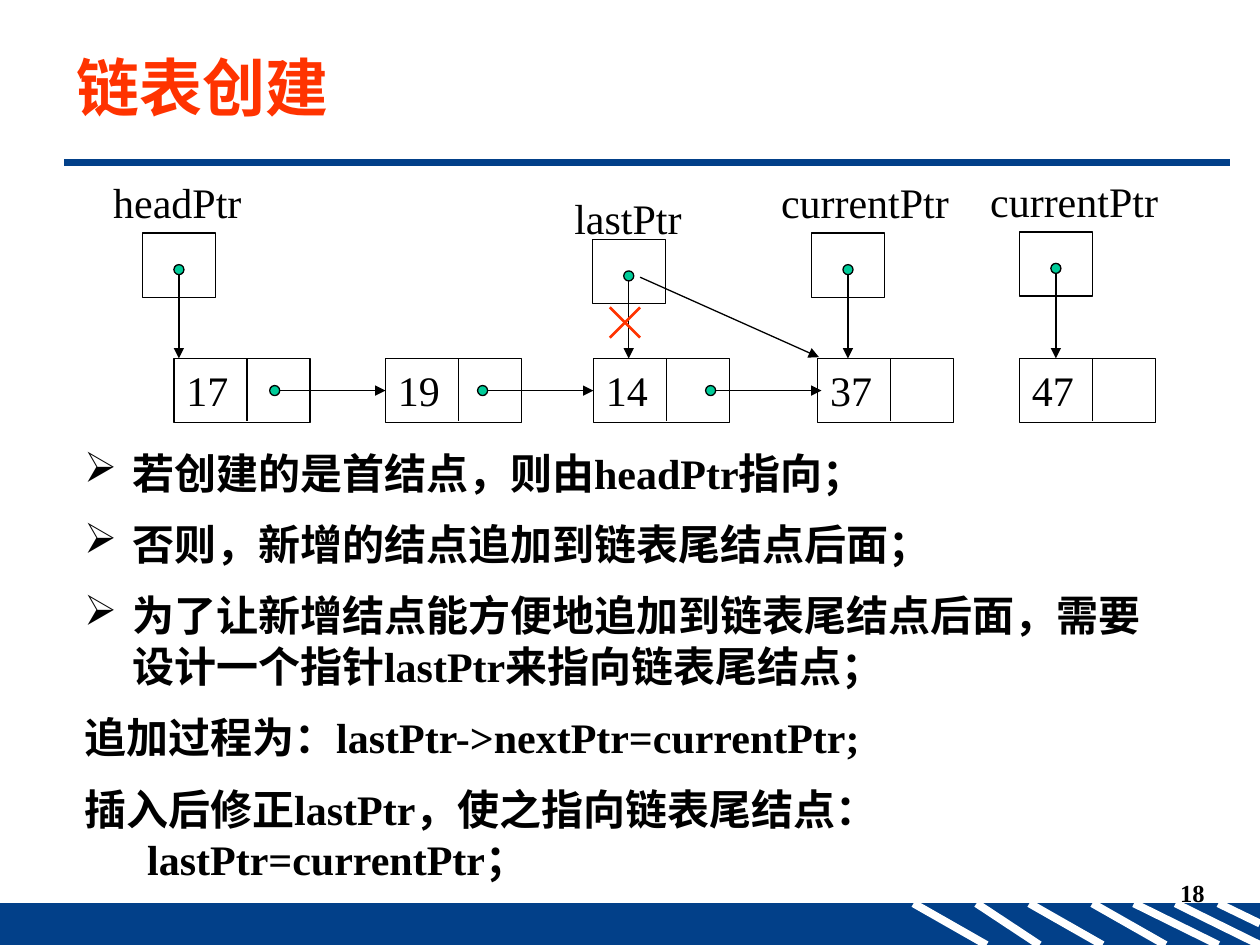
from lxml import etree
from pptx import Presentation
from pptx.dml.color import RGBColor
from pptx.enum.shapes import MSO_CONNECTOR, MSO_SHAPE
from pptx.enum.text import MSO_ANCHOR, PP_ALIGN
from pptx.oxml.ns import qn
from pptx.util import Inches, Pt

RECTANGLE, OVAL = MSO_SHAPE.RECTANGLE, MSO_SHAPE.OVAL
STRAIGHT = MSO_CONNECTOR.STRAIGHT
BLACK = RGBColor(0x00, 0x00, 0x00)
WHITE = RGBColor(0xFF, 0xFF, 0xFF)
BLUE = RGBColor(0x02, 0x40, 0x89)
GREEN = RGBColor(0x00, 0xCC, 0x99)
RED = RGBColor(0xFF, 0x33, 0x00)
LATIN, CHINESE = "Times New Roman", "Noto Sans CJK SC"

deck = Presentation()
deck.slide_width, deck.slide_height = Inches(10), Inches(7.5)
page = deck.slides.add_slide(deck.slide_layouts[6])

# All positions are in columns and rows of a 100 by 75 grid
COLUMN = deck.slide_width / 100
ROW = deck.slide_height / 75


def add_box(kind, left, top, width, height, lines=(), fill=None, outline=BLACK,
            size=24, bold=False, color=BLACK, font=LATIN):
    """Add a preset shape, or a text box when kind is None."""
    place = [int(n) for n in (left * COLUMN, top * ROW, width * COLUMN, height * ROW)]
    if kind is None:
        box = page.shapes.add_textbox(*place)
    else:
        box = page.shapes.add_shape(kind, *place)
        box.shadow.inherit = False
        box.line.color.rgb = outline
        box.line.width = Pt(0.75)
        if fill is None:
            box.fill.background()
        else:
            box.fill.solid()
            box.fill.fore_color.rgb = fill
    frame = box.text_frame
    frame.word_wrap = True
    frame.vertical_anchor = MSO_ANCHOR.TOP
    for index, line in enumerate(lines):
        para = frame.add_paragraph() if index else frame.paragraphs[0]
        para.text = line
        para.alignment = PP_ALIGN.LEFT
        para.space_before = Pt(12 if index else 0)
        for span in para.runs:
            span.font.size, span.font.bold, span.font.name = Pt(size), bold, font
            span.font.color.rgb = color
            east_asian = etree.SubElement(span.font._element, qn("a:ea"))
            east_asian.set("typeface", CHINESE)
    return box


def add_line(x1, y1, x2, y2, color=BLACK, width=0.75, arrow=False):
    line = page.shapes.add_connector(STRAIGHT, int(x1 * COLUMN), int(y1 * ROW),
                                     int(x2 * COLUMN), int(y2 * ROW))
    line.line.color.rgb = color
    line.line.width = Pt(width)
    if arrow:
        etree.SubElement(line.line._get_or_add_ln(), qn("a:tailEnd")).set("type", "triangle")
    etree.SubElement(line._element.spPr, qn("a:effectLst"))


# Footer band with diagonal stripes, and the rule under the title
add_box(RECTANGLE, 0, 71.7, 100, 3.3, fill=BLUE, outline=BLUE)
for start, end, bottom in [(72.5, 78.3, 75), (77.5, 82.5, 75), (81.7, 87.5, 75),
                           (86.7, 92.5, 75), (90, 96.7, 75), (93.3, 100, 75),
                           (96.7, 100, 73.3)]:
    add_line(start, 71.7, end, bottom, WHITE, 4.5)
add_line(5.1, 12.9, 97.6, 12.9, BLUE, 4.5)

# Title and slide number
title = add_box(None, 5.1, 2.9, 92.9, 7.9, ["链表创建"], size=36, bold=True,
                color=RED, font=CHINESE)
title.text_frame.vertical_anchor = MSO_ANCHOR.MIDDLE
number = add_box(None, 75.8, 69.2, 20.8, 5, ["18"], size=14, bold=True)
number.text_frame.paragraphs[0].alignment = PP_ALIGN.RIGHT

# List nodes: a value cell and a pointer cell
NODE_TOP, NODE_WIDTH, CELL_HEIGHT = 28.45, 10.8, 5.1
POINTER_WIDTH, DOT = 5.8, 0.8
for value, left in [("17", 13.8), ("19", 30.6), ("14", 47.1), ("37", 64.9), ("47", 80.9)]:
    add_box(RECTANGLE, left, NODE_TOP, NODE_WIDTH, CELL_HEIGHT, [value])
    divider = left + POINTER_WIDTH
    add_line(divider, NODE_TOP, divider, NODE_TOP + 5)

# Links from each node to the next
for dot_left, target in [(21.4, 30.6), (37.9, 47.1), (56, 65.2)]:
    add_line(dot_left + DOT, 31, target, 31, arrow=True)
    add_box(OVAL, dot_left, 30.6, DOT, DOT, fill=GREEN)

# Named pointers: label, cell, dot and downward arrow
for name, left, top, label_left, label_top in [
        ("headPtr", 11.3, 18.5, 8, 13.5), ("lastPtr", 47, 19, 44.6, 14.8),
        ("currentPtr", 64.4, 18.5, 61, 13.5), ("currentPtr", 80.9, 18.4, 77.6, 13.4)]:
    add_box(RECTANGLE, left, top, POINTER_WIDTH, CELL_HEIGHT)
    add_box(None, label_left, label_top, 16.5, 5, [name])
    add_box(OVAL, left + 2.5, top + 2.5, DOT, DOT, fill=GREEN)
    add_line(left + 2.9, top + 3.3, left + 2.9, NODE_TOP, arrow=True)

# The old lastPtr link is crossed out and replaced
add_line(50.8, 24.4, 48.4, 26.8, RED, 1.5)
add_line(48.4, 24.4, 50.8, 26.8, RED, 1.5)
add_line(50.8, 22, 65, 28.35, arrow=True)

# Explanation, with bullets on the first three paragraphs
body = add_box(None, 5.7, 35, 87.8, 37.4, [
    "若创建的是首结点，则由headPtr指向；",
    "否则，新增的结点追加到链表尾结点后面；",
    "为了让新增结点能方便地追加到链表尾结点后面，需要设计一个指针lastPtr来指向链表尾结点；",
    "追加过程为：lastPtr->nextPtr=currentPtr;",
    "插入后修正lastPtr，使之指向链表尾结点：\v\tlastPtr=currentPtr；",
], bold=True)
for para in body.text_frame.paragraphs[:3]:
    properties = para._p.get_or_add_pPr()
    properties.set("marL", str(Inches(0.38)))
    properties.set("indent", str(-Inches(0.38)))
    etree.SubElement(properties, qn("a:buChar")).set("char", "➢")

deck.save("out.pptx")
